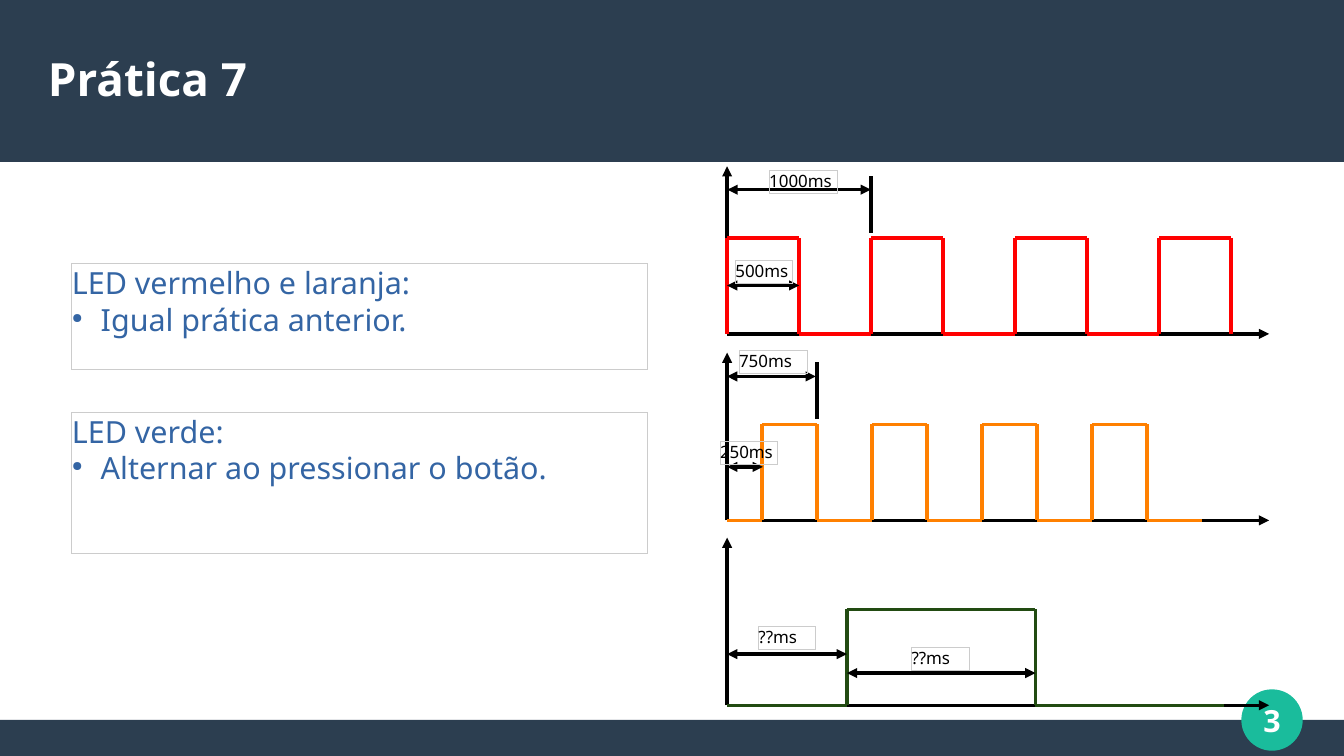
from lxml import etree
from pptx import Presentation
from pptx.dml.color import RGBColor
from pptx.enum.shapes import MSO_CONNECTOR, MSO_SHAPE
from pptx.enum.text import MSO_ANCHOR, PP_ALIGN
from pptx.oxml.ns import qn
from pptx.util import Pt

STRAIGHT = MSO_CONNECTOR.STRAIGHT
RECTANGLE, OVAL = MSO_SHAPE.RECTANGLE, MSO_SHAPE.OVAL
TOP, MIDDLE = MSO_ANCHOR.TOP, MSO_ANCHOR.MIDDLE
LEFT, CENTER = PP_ALIGN.LEFT, PP_ALIGN.CENTER

NAVY = RGBColor(0x2C, 0x3E, 0x50)
TEAL = RGBColor(0x1A, 0xBC, 0x9C)
WHITE = RGBColor(0xFF, 0xFF, 0xFF)
BLACK = RGBColor(0, 0, 0)
BLUE = RGBColor(0x34, 0x65, 0xA4)
GREY = RGBColor(0xCC, 0xCC, 0xCC)
RED = RGBColor(0xFF, 0, 0)
ORANGE = RGBColor(0xFF, 0x80, 0)
GREEN = RGBColor(0x22, 0x4B, 0x12)

FONT = "Noto Sans"
WIDTH, HEIGHT = 793.7, 446.46
TITLE = "Prática 7"
PAGE_NUMBER = "3"
TASKS = [
    (155.9, 62.6, "LED vermelho e laranja:", "Igual prática anterior."),
    (243.7, 83.5, "LED verde:", "Alternar ao pressionar o botão."),
]

ORIGIN, AXIS_END = 429.4, 749.5
AXIS_HEIGHT, AMPLITUDE = 99, 56.7
TICK_BOTTOM, TICK_TOP = 59.7, 93.5
LABEL_HEIGHT = 13.7

# measures: start, end, height above baseline, label, label left, rise, width
DIAGRAMS = [
    dict(base=197.2, color=RED, edges=[ORIGIN + 42.52 * k for k in range(8)],
         end=ORIGIN + 42.52 * 7, tick=514.5,
         measures=[(429.6, 514.3, 85.2, "1000ms", 454.3, 96.7, 40.3),
                   (429.4, 472, 28.6, "500ms", 434.3, 43.6, 34)]),
    dict(base=307.3, color=ORANGE, edges=[450 + 32.5 * k for k in range(8)],
         end=710, tick=482.5,
         measures=[(429.4, 481.8, 85, "750ms", 436.5, 100.2, 40.3),
                   (429.4, 450.5, 31.6, "250ms", 425.2, 46.6, 34)]),
    dict(base=416.5, color=GREEN, edges=[500.2, 611.5], end=722.8, tick=None,
         measures=[(429.4, 500.2, 30.2, "??ms", 447.9, 46.6, 34),
                   (500.2, 611.5, 19, "??ms", 538.3, 34.3, 34)]),
]


def write(shape, lines, size, color, bold=False, anchor=TOP, align=LEFT):
    frame = shape.text_frame
    frame.margin_left = frame.margin_right = 0
    frame.margin_top = frame.margin_bottom = 0
    frame.word_wrap = True
    frame.vertical_anchor = anchor
    frame.text = "\n".join(lines)
    for paragraph in frame.paragraphs:
        paragraph.alignment = align
        for run in paragraph.runs:
            run.font.name, run.font.size = FONT, Pt(size)
            run.font.bold, run.font.color.rgb = bold, color
    return frame


def text_box(left, top, width, height, outline=None):
    box = slide.shapes.add_textbox(Pt(left), Pt(top), Pt(width), Pt(height))
    if outline is not None:
        box.line.color.rgb, box.line.width = outline, Pt(0)
    return box


def solid(kind, left, top, width, height, color):
    shape = slide.shapes.add_shape(kind, Pt(left), Pt(top), Pt(width), Pt(height))
    shape.shadow.inherit = False
    shape.fill.solid()
    shape.fill.fore_color.rgb = color
    shape.line.fill.background()
    return shape


def line(x1, y1, x2, y2, color=BLACK, arrows=()):
    connector = slide.shapes.add_connector(STRAIGHT, Pt(x1), Pt(y1), Pt(x2), Pt(y2))
    connector.line.color.rgb, connector.line.width = color, Pt(0)
    for end in arrows:
        etree.SubElement(connector.line._get_or_add_ln(), qn("a:" + end), type="triangle")
    etree.SubElement(connector._element.spPr, qn("a:effectLst"))


def add_bullet(paragraph):
    properties = paragraph._p.get_or_add_pPr()
    properties.set("marL", str(Pt(17)))
    properties.set("indent", str(-Pt(17)))
    color = etree.SubElement(properties, qn("a:buClr"))
    etree.SubElement(color, qn("a:srgbClr"), val=str(BLUE))
    etree.SubElement(properties, qn("a:buSzPct"), val="45000")
    etree.SubElement(properties, qn("a:buChar"), char="●")


def draw_diagram(base, color, edges, end, tick, measures):
    line(ORIGIN, base, ORIGIN, base - AXIS_HEIGHT, arrows=["tailEnd"])
    line(ORIGIN, base, AXIS_END, base, arrows=["tailEnd"])
    x, level, other = ORIGIN, base, base - AMPLITUDE
    for edge in edges:
        if edge > x:
            line(x, level, edge, level, color)
        line(edge, level, edge, other, color)
        x, level, other = edge, other, level
    if end > x:
        line(x, level, end, level, color)
    if tick:
        line(tick, base - TICK_BOTTOM, tick, base - TICK_TOP)
    for start, stop, height, label, left, rise, width in measures:
        line(start, base - height, stop, base - height, arrows=["headEnd", "tailEnd"])
        write(text_box(left, base - rise, width, LABEL_HEIGHT, GREY), [label], 10, BLACK)


presentation = Presentation()
presentation.slide_width, presentation.slide_height = Pt(WIDTH), Pt(HEIGHT)
slide = presentation.slides.add_slide(presentation.slide_layouts[6])

solid(RECTANGLE, 0, 425.2, WIDTH, HEIGHT - 425.2, NAVY)
solid(RECTANGLE, 0, 0, WIDTH, 95.7, NAVY)
badge = solid(OVAL, 733.5, 407.5, 35.4, 35.4, TEAL)
badge.line.color.rgb, badge.line.width = TEAL, Pt(0.85)
write(badge, [PAGE_NUMBER], 18, WHITE, True, MIDDLE, CENTER)
write(text_box(28.3, 18, 737, 56.7), [TITLE], 27, WHITE, True, MIDDLE)

for top, height, heading, task in TASKS:
    frame = write(text_box(42.5, top, 340.1, height, GREY), [heading, task], 18, BLUE)
    add_bullet(frame.paragraphs[1])

for diagram in DIAGRAMS:
    draw_diagram(**diagram)

presentation.save("out.pptx")
